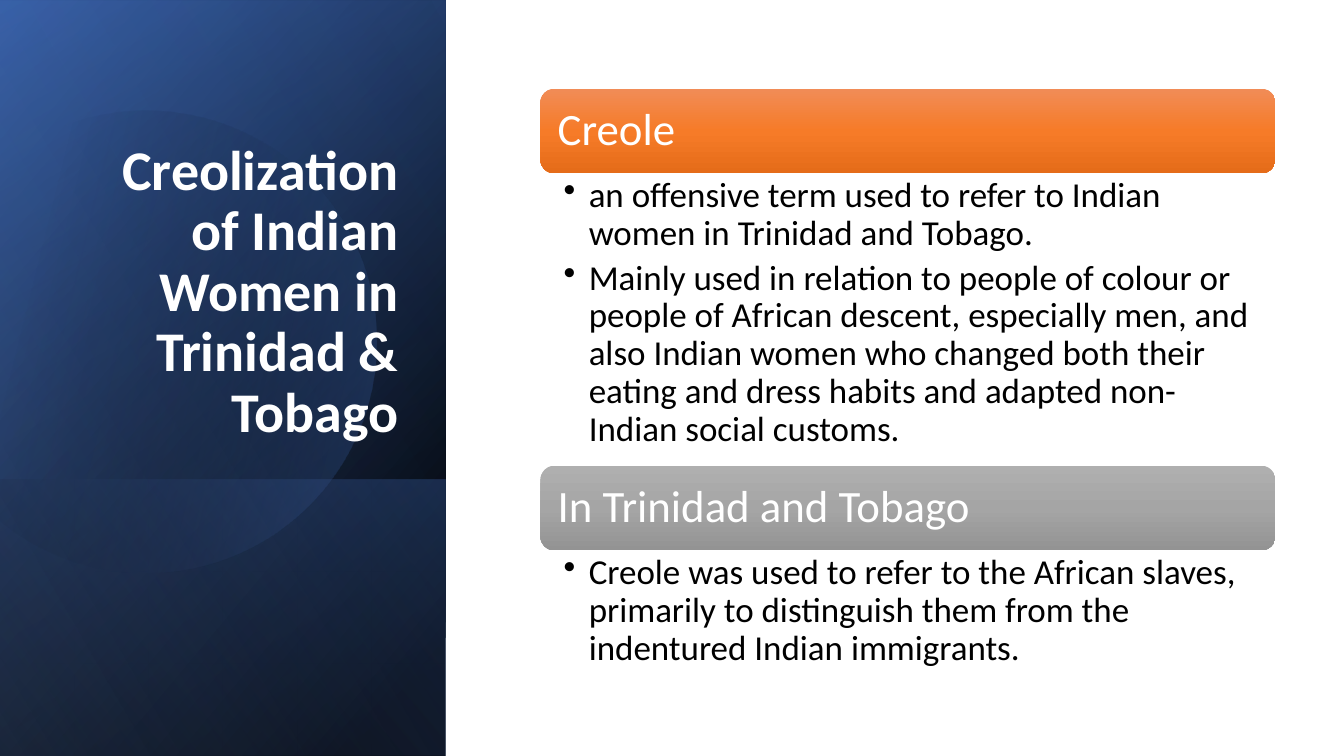
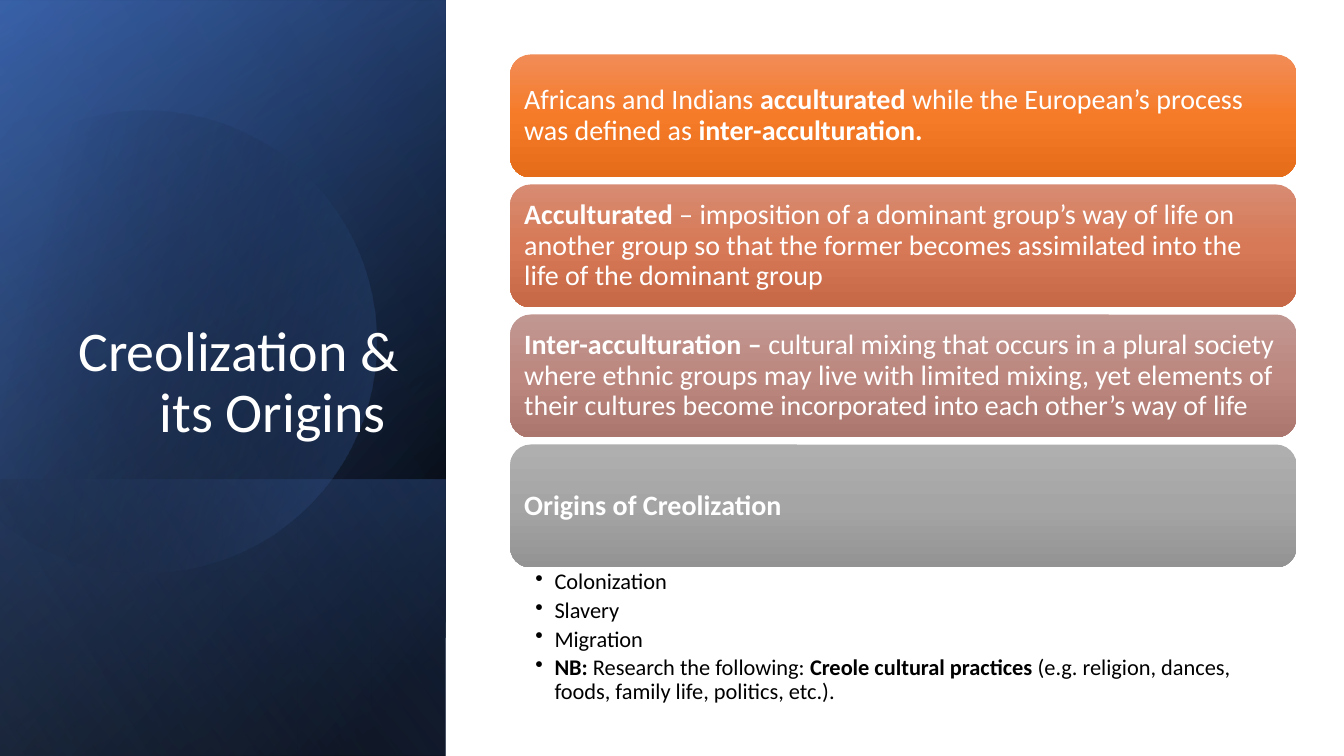
from dataclasses import dataclass
from math import cos, radians, sin

from lxml import etree
from pptx import Presentation
from pptx import util as u
from pptx.dml.color import RGBColor
from pptx.enum import shapes, text
from pptx.oxml.ns import qn

FONT = "Calibri"
COLORS = {
    "black": "000000",
    "white": "FFFFFF",
    "navy": "2F5597",
    "blue": "4472C4",
    "sky": "8FAADC",
}
BAR_COLORS = {
    "orange": ("F18C57", "F67B28", "E56C19"),
    "rust": ("D78B72", "D77956", "C66846"),
    "rose": ("C19791", "BC8880", "AA766E"),
    "gray": ("AFAFAF", "A5A5A5", "939393"),
}


@dataclass(frozen=True)
class Stop:
    position: int
    color: str
    alpha: int = 100


@dataclass(frozen=True)
class PanelLayer:
    left: float
    top: float
    width: float
    height: float
    angle: int
    stops: tuple[Stop, ...]


@dataclass(frozen=True)
class Bar:
    """A coloured bar with optional bullets; ** switches bold on and off."""
    text: str
    color: str
    bullets: tuple[str, ...] = ()
    body_height: float = 0


@dataclass(frozen=True)
class BarStyle:
    left: float
    top: float
    width: float
    height: float
    gap: float
    size: int
    inset: float
    body_size: int
    body_insets: tuple[float, float, float]  # left, right, top and bottom
    indent: float


@dataclass(frozen=True)
class SlideContent:
    title: str
    title_bold: bool
    style: BarStyle
    bars: tuple[Bar, ...]


# Side panel: turned rectangles, with a cut disc between them
LAYERS_BELOW = (
    PanelLayer(-1.54, 1.54, 7.5, 4.42, 50,
               (Stop(8, COLORS["black"]), Stop(100, COLORS["navy"]))),
    PanelLayer(-1.54, 1.55, 7.5, 4.42, 30,
               (Stop(0, COLORS["black"], 0), Stop(99, COLORS["blue"], 46))),
    PanelLayer(0.84, 3.92, 2.74, 4.42, 130,
               (Stop(2, COLORS["blue"], 29), Stop(100, COLORS["black"], 30))),
)
LAYER_ABOVE = PanelLayer(
    -1.54, 1.54, 7.5, 4.42, 120,
    (Stop(0, COLORS["black"], 0), Stop(99, COLORS["sky"], 11)))
DISC_STOPS = (Stop(29, COLORS["black"], 0), Stop(100, COLORS["blue"], 43))

SLIDES = (
    SlideContent(
        "Creolization of Indian Women in Trinidad & Tobago", True,
        BarStyle(5.36, 0.88, 7.29, 0.84, 0, 32, 0.13, 25, (0.23, 0.25, 0.04), 0.25),
        (
            Bar("Creole", "orange", (
                "an offensive term used to refer to Indian women in Trinidad and Tobago.",
                "Mainly used in relation to people of colour or people of African descent, "
                "especially men, and also Indian women who changed both their eating and "
                "dress habits and adapted non-Indian social customs.",
            ), 2.9),
            Bar("In Trinidad and Tobago", "gray", (
                "Creole was used to refer to the African slaves, primarily to distinguish "
                "them from the indentured Indian immigrants.",
            ), 1.27),
        ),
    ),
    SlideContent(
        "Creolization & its Origins ", False,
        BarStyle(5.06, 0.54, 7.8, 1.22, 0.07, 20, 0.08, 16, (0.25, 0.16, 0.03), 0.19),
        (
            Bar("Africans and Indians **acculturated **while the European’s process "
                "was defined as **inter-acculturation.**", "orange"),
            Bar("**Acculturated** – imposition of a dominant group’s way of life on "
                "another group so that the former becomes assimilated into the life "
                "of the dominant group", "rust"),
            Bar("**Inter-acculturation – **cultural mixing that occurs in a plural "
                "society where ethnic groups may live with limited mixing, yet elements "
                "of their cultures become incorporated into each other’s way of life",
                "rose"),
            Bar("**Origins of Creolization**", "gray", (
                "Colonization",
                "Slavery",
                "Migration",
                "**NB: **Research the following: **Creole cultural practices** "
                "(e.g. religion, dances, foods, family life, politics, etc.).",
            ), 1.45),
        ),
    ),
)


def paint(shape, stops: tuple[Stop, ...], angle: int) -> None:
    """Give a shape a clockwise linear gradient, no line and no shadow."""
    shape.shadow.inherit = False
    shape.line.fill.background()
    shape.fill.gradient()
    shape.fill.gradient_angle = 360 - angle
    stop_list = shape._element.spPr.find(qn("a:gradFill")).find(qn("a:gsLst"))
    for old_stop in list(stop_list):
        stop_list.remove(old_stop)
    for stop in stops:
        entry = etree.SubElement(stop_list, qn("a:gs"), pos=str(stop.position * 1000))
        color = etree.SubElement(entry, qn("a:srgbClr"), val=stop.color)
        if stop.alpha < 100:
            etree.SubElement(color, qn("a:alpha"), val=str(stop.alpha * 1000))


def write(paragraph, marked_text: str, size: int, color: str) -> None:
    """Fill a paragraph with runs; the odd parts between ** are bold."""
    paragraph.line_spacing = 0.9
    for index, part in enumerate(marked_text.split("**")):
        if part:
            run = paragraph.add_run()
            run.text = part
            run.font.name = FONT
            run.font.size = u.Pt(size)
            run.font.bold = index % 2 == 1
            run.font.color.rgb = RGBColor.from_string(COLORS[color])


def set_frame(frame, anchor, left: float, right: float, vertical: float) -> None:
    frame.word_wrap = True
    frame.auto_size = text.MSO_AUTO_SIZE.NONE
    frame.vertical_anchor = anchor
    frame.margin_left, frame.margin_right = u.Inches(left), u.Inches(right)
    frame.margin_top = frame.margin_bottom = u.Inches(vertical)


def add_layer(slide, layer: PanelLayer) -> None:
    shape = slide.shapes.add_shape(
        shapes.MSO_SHAPE.RECTANGLE, u.Inches(layer.left), u.Inches(layer.top),
        u.Inches(layer.width), u.Inches(layer.height))
    shape.rotation = 90
    shape._element.spPr.find(qn("a:xfrm")).set("flipH", "1")
    paint(shape, layer.stops, layer.angle)


def add_disc(slide) -> None:
    """Draw a disc cut by a chord, which the rotation makes upright."""
    center_x, center_y, radius = 1.44, 3.35, 2.29
    tilt, half_arc, steps = 16.1, 134, 120
    angles = [radians(tilt - half_arc + 2 * half_arc * step / steps)
              for step in range(steps + 1)]
    points = [(u.Inches(center_x + radius * cos(angle)),
               u.Inches(center_y + radius * sin(angle))) for angle in angles]
    builder = slide.shapes.build_freeform(*points[0])
    builder.add_line_segments(points[1:], close=True)
    disc = builder.convert_to_shape()
    disc.rotation = 360 - tilt
    paint(disc, DISC_STOPS, 30)


def add_panel(slide) -> None:
    for layer in LAYERS_BELOW:
        add_layer(slide, layer)
    add_disc(slide)
    add_layer(slide, LAYER_ABOVE)


def place_title(slide, title_text: str, bold: bool) -> None:
    title = slide.shapes.title
    title.left, title.top = u.Inches(0.64), u.Inches(1.84)
    title.width, title.height = u.Inches(3.41), u.Inches(2.62)
    set_frame(title.text_frame, text.MSO_ANCHOR.BOTTOM, 0.1, 0.1, 0.05)
    paragraph = title.text_frame.paragraphs[0]
    paragraph.alignment = text.PP_ALIGN.RIGHT
    write(paragraph, f"**{title_text}**" if bold else title_text, 40, "white")
    # Bring the title in front of the panel
    slide.shapes._spTree.append(title._element)


def add_bar(slide, bar: Bar, style: BarStyle, top: float) -> None:
    shape = slide.shapes.add_shape(
        shapes.MSO_SHAPE.ROUNDED_RECTANGLE, u.Inches(style.left), u.Inches(top),
        u.Inches(style.width), u.Inches(style.height))
    stops = tuple(Stop(index * 50, color)
                  for index, color in enumerate(BAR_COLORS[bar.color]))
    paint(shape, stops, 90)
    set_frame(shape.text_frame, text.MSO_ANCHOR.MIDDLE,
              style.inset, style.inset, style.inset)
    paragraph = shape.text_frame.paragraphs[0]
    paragraph.alignment = text.PP_ALIGN.LEFT
    write(paragraph, bar.text, style.size, "white")


def add_bullets(slide, bar: Bar, style: BarStyle, top: float) -> None:
    box = slide.shapes.add_textbox(
        u.Inches(style.left), u.Inches(top),
        u.Inches(style.width), u.Inches(bar.body_height))
    frame = box.text_frame
    set_frame(frame, text.MSO_ANCHOR.TOP, *style.body_insets)
    for index, bullet in enumerate(bar.bullets):
        paragraph = frame.add_paragraph() if index else frame.paragraphs[0]
        properties = paragraph._p.get_or_add_pPr()
        properties.set("marL", str(u.Inches(style.indent)))
        properties.set("indent", str(-u.Inches(style.indent)))
        etree.SubElement(properties, qn("a:buChar"), char="•")
        paragraph.level = 1
        paragraph.space_after = u.Pt(style.body_size * 0.2)
        write(paragraph, bullet, style.body_size, "black")


def add_slide(presentation, content: SlideContent) -> None:
    slide = presentation.slides.add_slide(presentation.slide_layouts[5])
    add_panel(slide)
    place_title(slide, content.title, content.title_bold)
    style, top = content.style, content.style.top
    for bar in content.bars:
        add_bar(slide, bar, style, top)
        top += style.height
        if bar.bullets:
            add_bullets(slide, bar, style, top)
        top += bar.body_height + style.gap


def main() -> None:
    presentation = Presentation()
    presentation.slide_width = u.Inches(13.33)
    presentation.slide_height = u.Inches(7.5)
    for content in SLIDES:
        add_slide(presentation, content)
    presentation.save("out.pptx")


if __name__ == "__main__":
    main()
